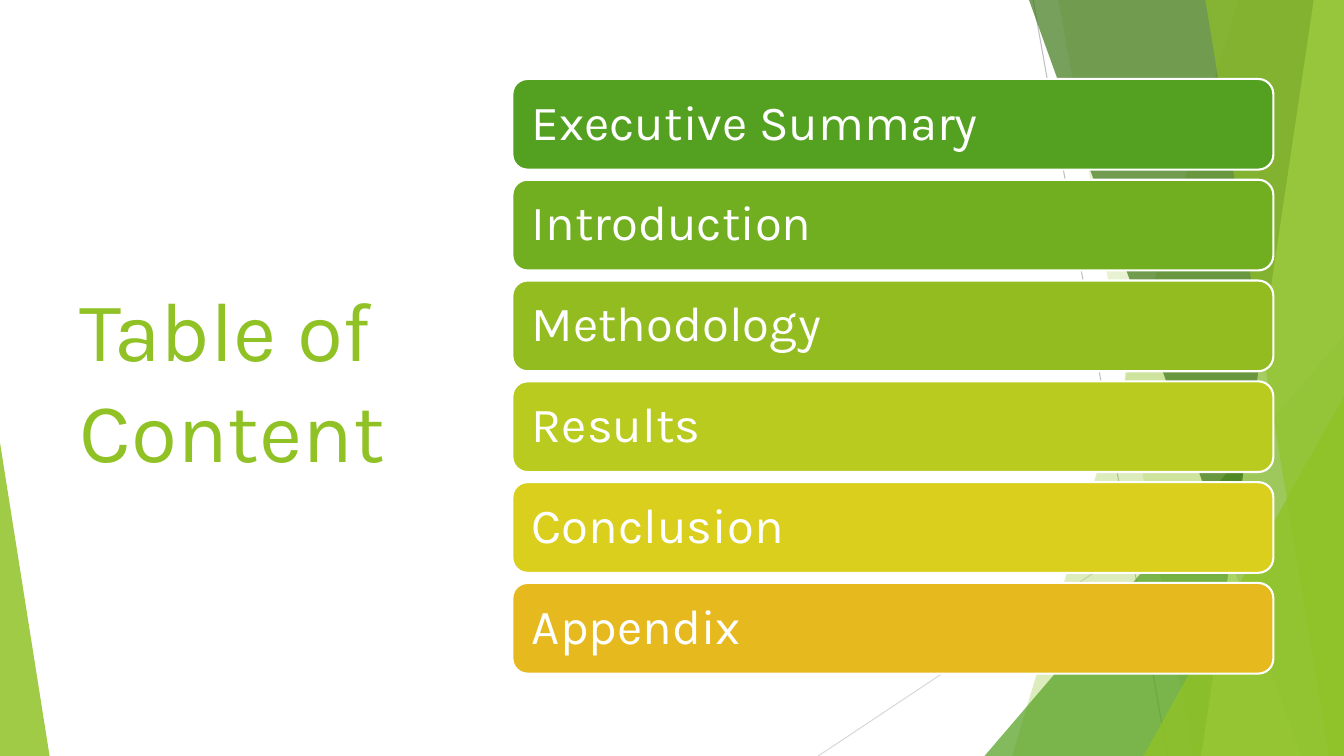
from lxml.etree import SubElement
from pptx import Presentation
from pptx.dml.color import RGBColor
from pptx.enum.shapes import MSO_CONNECTOR as Connector, MSO_SHAPE as Shape
from pptx.enum.text import MSO_ANCHOR as Anchor, MSO_AUTO_SIZE as AutoSize, PP_ALIGN as Align
from pptx.oxml.ns import qn
from pptx.util import Inches, Pt

COLUMNS, ROWS = 16, 9
GREEN, DARK_GREEN, FOREST, LIME, WHITE = "90C226", "54A021", "3F7819", "C0E474", "FFFFFF"


def color(value):
    return RGBColor.from_string(value)


def apply(target, values):
    for name, value in values.items():
        setattr(target, name, value)


class SlideBuilder:
    font_name = "Karla"
    frame_format = {"word_wrap": True, "auto_size": AutoSize.NONE, "vertical_anchor": Anchor.MIDDLE}

    def __init__(self, presentation):
        self.column = presentation.slide_width / COLUMNS
        self.row = presentation.slide_height / ROWS
        self.slide = presentation.slides.add_slide(presentation.slide_layouts[5])
        self.shapes = self.slide.shapes
        self.slide.background.fill.solid()
        self.slide.background.fill.fore_color.rgb = color(WHITE)

    def point(self, column, row):
        return round(column * self.column), round(row * self.row)

    def paint(self, shape, fill, opacity=100, line=None):
        shape.shadow.inherit = False
        shape.fill.solid()
        shape.fill.fore_color.rgb = color(fill)
        if opacity < 100:
            fill_color = shape.element.spPr.find(qn("a:solidFill"))[0]
            SubElement(fill_color, qn("a:alpha"), val=str(opacity * 1000))
        if line:
            shape.line.color.rgb = color(line)
            shape.line.width = Pt(1.5)
        else:
            shape.line.fill.background()

    def set_text(self, shape, text, size, text_color, margin=0.1, spacing=1.0):
        frame = shape.text_frame
        apply(frame, self.frame_format)
        apply(frame, {"margin_left": Inches(margin), "margin_right": Inches(margin)})
        frame.text = text
        paragraph = frame.paragraphs[0]
        apply(paragraph, {"alignment": Align.LEFT, "line_spacing": spacing})
        font = paragraph.runs[0].font
        apply(font, {"name": self.font_name, "size": Pt(size)})
        font.color.rgb = color(text_color)

    def title(self, text, left, top, width, height):
        title = self.shapes.title
        title.left, title.top = self.point(left, top)
        title.width, title.height = self.point(width, height)
        self.set_text(title, text, 60, GREEN)

    def line(self, start, end, line_color):
        connector = self.shapes.add_connector(
            Connector.STRAIGHT, *self.point(*start), *self.point(*end))
        connector.line.color.rgb = color(line_color)
        connector.line.width = Pt(0.75)
        SubElement(connector.element.spPr, qn("a:effectLst"))

    def band(self, top_column, bottom_column, fill, opacity):
        corners = [(COLUMNS, 0), (COLUMNS, ROWS), (bottom_column, ROWS)]
        builder = self.shapes.build_freeform(*self.point(top_column, 0))
        builder.add_line_segments([self.point(*corner) for corner in corners])
        self.paint(builder.convert_to_shape(), fill, opacity)

    def triangle(self, left, top, right, peak, fill, opacity):
        triangle = self.shapes.add_shape(
            Shape.ISOSCELES_TRIANGLE, *self.point(left, top), *self.point(right - left, ROWS - top))
        triangle.adjustments[0] = peak
        self.paint(triangle, fill, opacity)

    def bar(self, text, left, top, width, height, fill):
        bar = self.shapes.add_shape(
            Shape.ROUNDED_RECTANGLE, *self.point(left, top), *self.point(width, height))
        self.paint(bar, fill, line=WHITE)
        self.set_text(bar, text, 35, WHITE, margin=0.15, spacing=0.9)


def main():
    presentation = Presentation()
    apply(presentation, {"slide_width": Inches(13.33), "slide_height": Inches(7.5)})
    builder = SlideBuilder(presentation)

    builder.line((12.3, 0), (13.9, ROWS), "BFBFBF")
    builder.line((COLUMNS, 4.84), (9.74, ROWS), "D9D9D9")
    builder.band(14.74, 12.05, GREEN, 30)
    builder.band(12.6, 14.2, GREEN, 20)
    builder.triangle(11.72, 4, COLUMNS, 1, DARK_GREEN, 72)
    builder.band(12.25, 15.49, FOREST, 70)
    builder.band(15.64, 14.3, LIME, 70)
    builder.band(14.35, 15.82, GREEN, 65)
    builder.triangle(13.61, 4.72, COLUMNS, 1, GREEN, 80)
    builder.triangle(0, 5.27, 0.59, 0, GREEN, 85)

    builder.title("Table of Content", 0.83, 0.84, 4.49, 7.33)
    sections = {
        "Executive Summary": DARK_GREEN,
        "Introduction": "71AE20",
        "Methodology": "92BC1F",
        "Results": "B9CB1E",
        "Conclusion": "DACF1C",
        "Appendix": "E6B91E",
    }
    for index, (section, fill) in enumerate(sections.items()):
        builder.bar(section, 6.1, 0.94 + 1.2 * index, 9.06, 1.08, fill)

    presentation.save("out.pptx")


if __name__ == "__main__":
    main()
